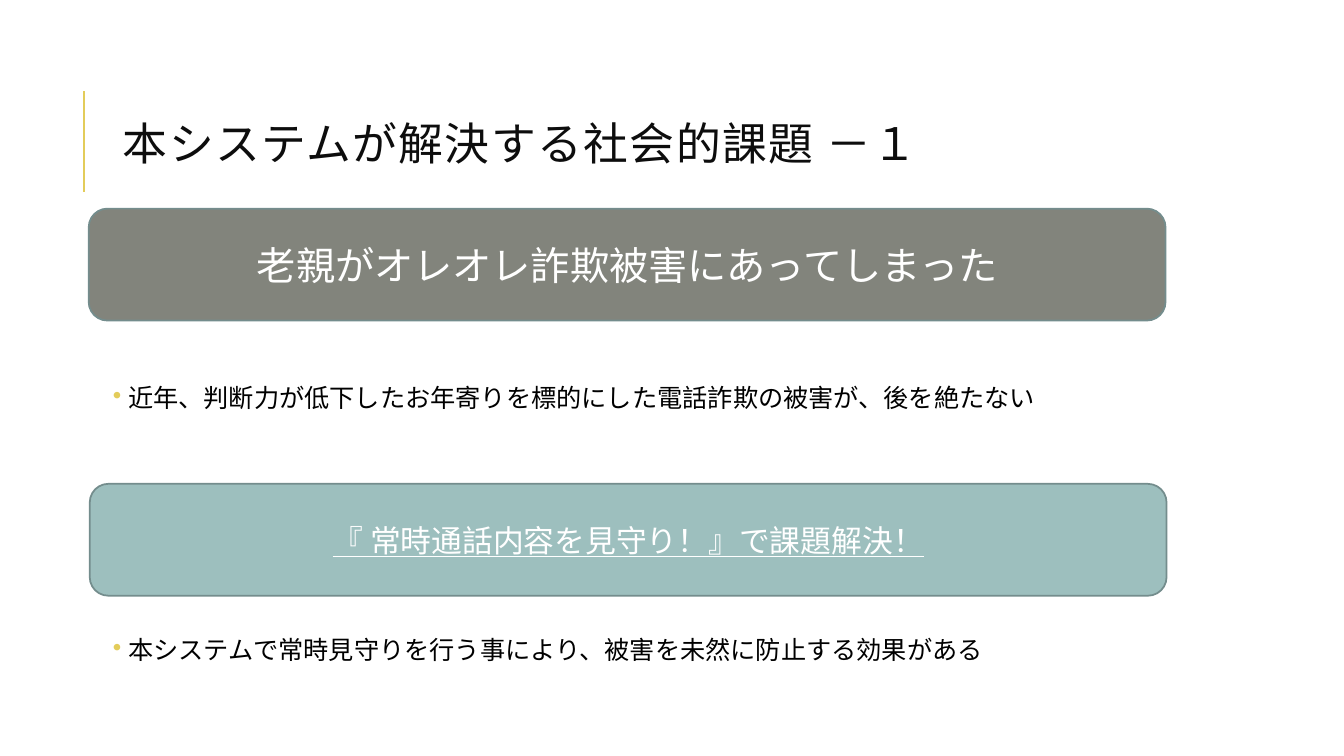
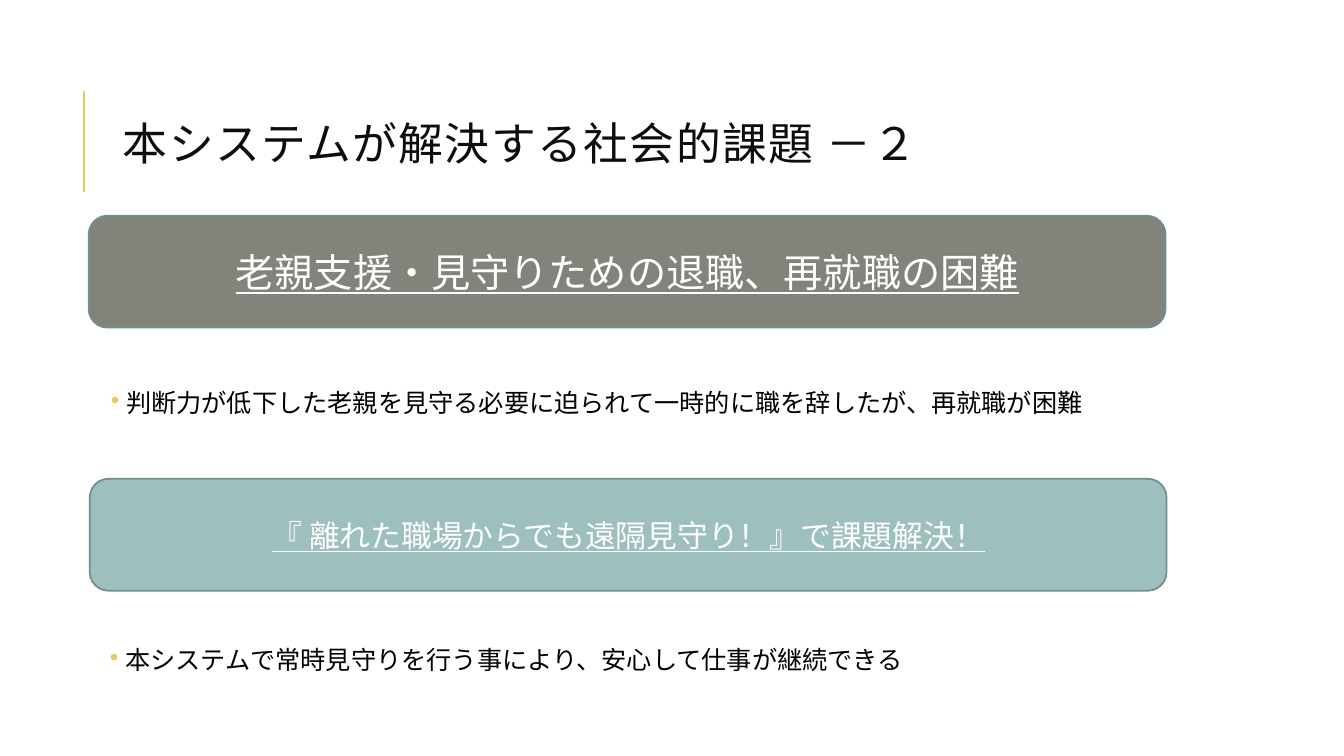
from lxml import etree
from pptx import Presentation
from pptx.dml.color import RGBColor
from pptx.enum.shapes import MSO_CONNECTOR, MSO_SHAPE
from pptx.enum.text import MSO_ANCHOR, PP_ALIGN
from pptx.oxml.ns import qn
from pptx.util import Inches, Pt

STRAIGHT = MSO_CONNECTOR.STRAIGHT
ROUNDED = MSO_SHAPE.ROUNDED_RECTANGLE
MIDDLE, TOP = MSO_ANCHOR.MIDDLE, MSO_ANCHOR.TOP
CENTER, LEFT = PP_ALIGN.CENTER, PP_ALIGN.LEFT

ACCENT, PROBLEM, SOLUTION, BORDER = "E3CC5A", "82847C", "9DBFBE", "748D8D"
TITLE_FONT = {"name": "Calibri", "size": Pt(32), "color": "0D0D0D"}
PROBLEM_FONT = {"name": "Cabin", "size": Pt(28), "color": "FFFFFF"}
SOLUTION_FONT = {"name": "Cabin", "size": Pt(22), "color": "FFFFFF", "underline": True}
BULLET_FONT = {"name": "Cabin", "size": Pt(18), "color": "000000"}

BANNER_SIZE = (10.68, 1.11)
BULLET_SIZE = (11.81, 0.45)


def rgb(value):
    return RGBColor.from_string(value)


def write_text(shape, text, font, anchor, alignment, margin=None):
    """Fill a shape with one formatted paragraph and return the paragraph."""
    frame = shape.text_frame
    frame.word_wrap = True
    frame.vertical_anchor = anchor
    if margin is not None:
        for side in ("left", "top", "right", "bottom"):
            setattr(frame, f"margin_{side}", Inches(margin))
    paragraph = frame.paragraphs[0]
    paragraph.alignment = alignment
    run = paragraph.add_run()
    run.text = text
    for name, value in font.items():
        if name == "color":
            run.font.color.rgb = rgb(value)
        else:
            setattr(run.font, name, value)
    return paragraph


def add_title(slide, text, left=0.83, top=0.9):
    """Title with the vertical accent rule on its left."""
    rule = slide.shapes.add_connector(
        STRAIGHT, Inches(left), Inches(top + 1), Inches(left), Inches(top))
    rule.line.color.rgb = rgb(ACCENT)
    rule.line.width = Pt(1.5)
    etree.SubElement(rule.element.spPr, qn("a:effectLst"))

    box = slide.shapes.add_textbox(
        Inches(left + 0.29), Inches(top - 0.26), Inches(10.63), Inches(1.64))
    paragraph = write_text(box, text, TITLE_FONT, MIDDLE, LEFT)
    paragraph.line_spacing = 0.8
    paragraph.runs[0].font.element.set("spc", "100") if hasattr(
        paragraph.runs[0].font, "element") else paragraph.runs[0]._r.get_or_add_rPr().set("spc", "100")


def add_banner(slide, left, top, text, fill, font):
    """Rounded banner with centred text."""
    width, height = BANNER_SIZE
    banner = slide.shapes.add_shape(
        ROUNDED, Inches(left), Inches(top), Inches(width), Inches(height))
    banner.shadow.inherit = False
    banner.fill.solid()
    banner.fill.fore_color.rgb = rgb(fill)
    banner.line.color.rgb = rgb(BORDER)
    banner.line.width = Pt(1.25)
    write_text(banner, text, font, MIDDLE, CENTER)


def add_bullet(slide, left, top, text):
    """One bulleted line with an accent-coloured dot."""
    width, height = BULLET_SIZE
    box = slide.shapes.add_textbox(
        Inches(left), Inches(top), Inches(width), Inches(height))
    paragraph = write_text(box, text, BULLET_FONT, TOP, LEFT, margin=0.05)
    paragraph.line_spacing = 0.9
    paragraph.space_before, paragraph.space_after = Pt(2), Pt(4)
    properties = paragraph._p.get_or_add_pPr()
    properties.set("marL", str(Inches(0.29)))
    properties.set("indent", str(Inches(-0.15)))
    color = etree.SubElement(properties, qn("a:buClr"))
    etree.SubElement(color, qn("a:srgbClr"), val=ACCENT)
    etree.SubElement(properties, qn("a:buChar"), char="•")


def add_issue_slide(presentation, title, problem, solution):
    """Title, then a problem and a solution, each a banner above a bullet."""
    slide = presentation.slides.add_slide(presentation.slide_layouts[6])
    add_title(slide, title)
    styles = ((0.88, PROBLEM, PROBLEM_FONT), (0.89, SOLUTION, SOLUTION_FONT))
    for (left, fill, font), part in zip(styles, (problem, solution)):
        heading, banner_top, underline = part["banner"]
        add_banner(slide, left, banner_top, heading, fill,
                   {**font, "underline": underline})
        add_bullet(slide, *part["bullet"])


ISSUES = [
    {
        "title": "本システムが解決する社会的課題 －１",
        "problem": {
            "banner": ("老親がオレオレ詐欺被害にあってしまった", 2.07, False),
            "bullet": (0.93, 3.78, "近年、判断力が低下したお年寄りを標的にした電話詐欺の被害が、後を絶たない"),
        },
        "solution": {
            "banner": ("『 常時通話内容を見守り！』で課題解決！", 4.8, True),
            "bullet": (0.93, 6.28, "本システムで常時見守りを行う事により、被害を未然に防止する効果がある"),
        },
    },
    {
        "title": "本システムが解決する社会的課題 －２",
        "problem": {
            "banner": ("老親支援・見守りための退職、再就職の困難", 2.14, True),
            "bullet": (0.91, 3.83, "判断力が低下した老親を見守る必要に迫られて一時的に職を辞したが、再就職が困難"),
        },
        "solution": {
            "banner": ("『 離れた職場からでも遠隔見守り！』で課題解決！", 4.75, True),
            "bullet": (0.9, 6.38, "本システムで常時見守りを行う事により、安心して仕事が継続できる"),
        },
    },
]


def main():
    presentation = Presentation()
    presentation.slide_width = Inches(13.33)
    presentation.slide_height = Inches(7.5)
    for issue in ISSUES:
        add_issue_slide(presentation, **issue)
    presentation.save("out.pptx")


if __name__ == "__main__":
    main()
